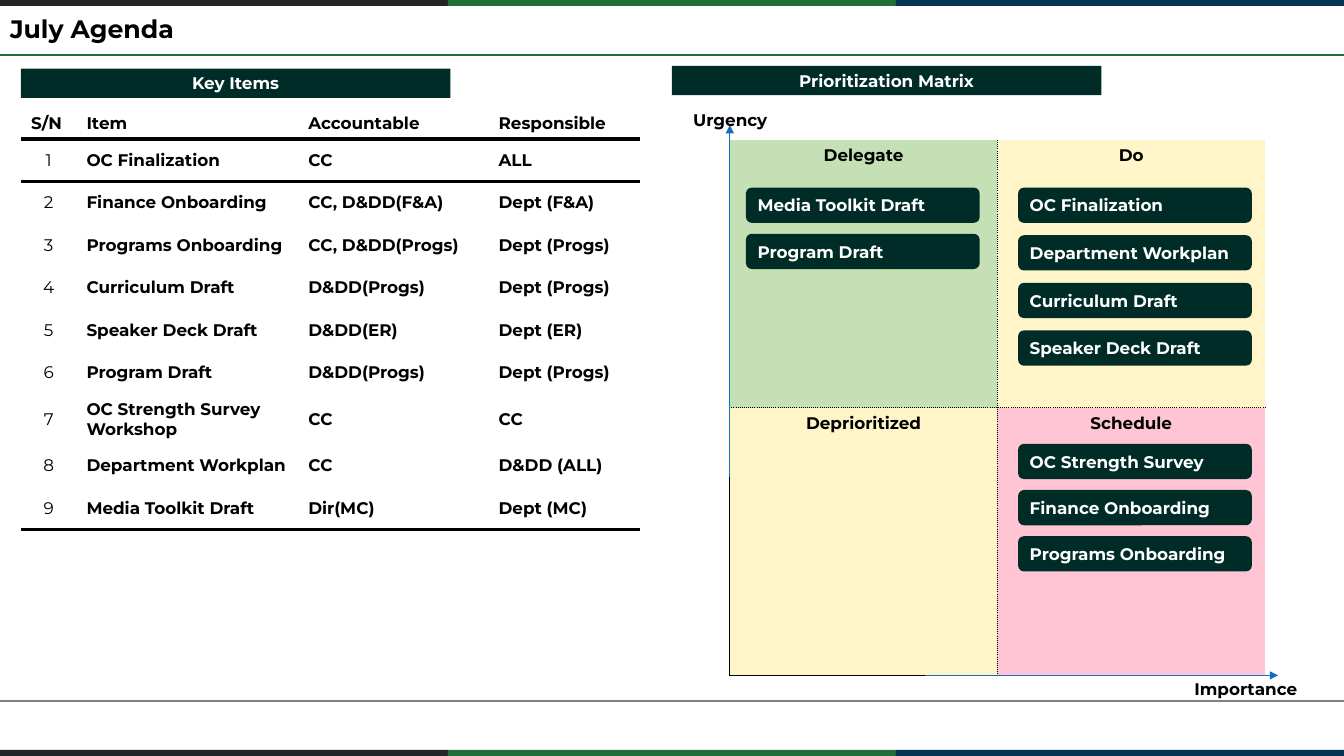
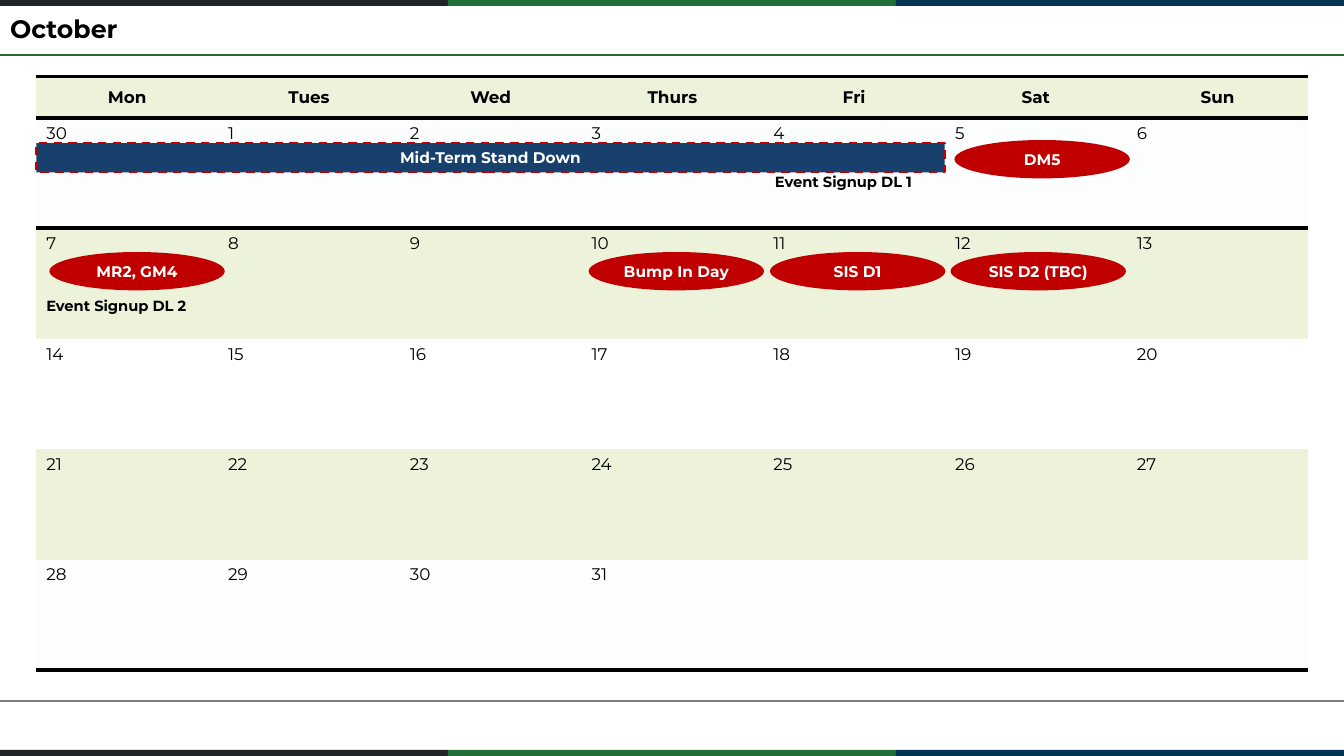
from dataclasses import dataclass

from lxml.etree import SubElement
from pptx import Presentation
from pptx.dml.color import RGBColor
from pptx.enum.dml import MSO_LINE
from pptx.enum.shapes import MSO_CONNECTOR, MSO_SHAPE
from pptx.enum.text import MSO_ANCHOR, PP_ALIGN
from pptx.oxml.ns import qn
from pptx.util import Pt


@dataclass(frozen=True)
class Theme:
    font: str = "Montserrat"
    black: str = "000000"
    white: str = "FFFFFF"
    bands: tuple = ("212528", "216E38", "033453")
    title_rule: str = "226D38"
    footer_rule: str = "7F7F7F"
    dark_green: str = "002C28"
    axis: str = "0F6FC6"
    delegate: str = "C5E0B4"
    cream: str = "FFF5C8"
    pink: str = "FFC5D5"
    pale_green: str = "EDF3DB"
    pale_blue: str = "FBFDFE"
    navy: str = "17406D"
    red: str = "C00000"
    title_size: float = 18
    body_size: float = 12
    event_size: float = 11
    note_size: float = 10.5


THEME = Theme()
WIDTH, HEIGHT = 960, 540
PLAIN_TABLE = "{2D5ABB26-0587-4C30-8999-92F81FD0307C}"
THICK = (3, "solid")
THIN = (1, "solid")
DOTTED = (0.5, "sysDot")

ITEMS = [
    ("S/N", "Item", "Accountable", "Responsible"),
    ("1", "OC Finalization", "CC", "ALL"),
    ("2", "Finance Onboarding", "CC, D&DD(F&A)", "Dept (F&A)"),
    ("3", "Programs Onboarding", "CC, D&DD(Progs)", "Dept (Progs)"),
    ("4", "Curriculum Draft", "D&DD(Progs)", "Dept (Progs)"),
    ("5", "Speaker Deck Draft", "D&DD(ER)", "Dept (ER)"),
    ("6", "Program Draft", "D&DD(Progs)", "Dept (Progs)"),
    ("7", "OC Strength Survey Workshop", "CC", "CC"),
    ("8", "Department Workplan", "CC", "D&DD (ALL)"),
    ("9", "Media Toolkit Draft", "Dir(MC)", "Dept (MC)"),
]
QUADRANTS = [
    [("Delegate", THEME.delegate), ("Do", THEME.cream)],
    [("Deprioritized", THEME.cream), ("Schedule", THEME.pink)],
]
TASKS = [
    (532.8, 134, 33, ["Media Toolkit Draft", "Program Draft"]),
    (727.2, 134, 34, ["OC Finalization", "Department Workplan",
                      "Curriculum Draft", "Speaker Deck Draft"]),
    (727.2, 317, 33, ["OC Strength Survey", "Finance Onboarding",
                      "Programs Onboarding"]),
]
DAYS = ["Mon", "Tues", "Wed", "Thurs", "Fri", "Sat", "Sun"]
EVENTS = [
    ("DM5", 681.8, 100),
    ("MR2, GM4", 35.3, 180),
    ("Bump In Day", 420.5, 180),
    ("SIS D1", 550, 180),
    ("SIS D2 (TBC)", 679, 180),
]
SIGNUPS = [("Event Signup DL 1", 546.5, 120.2), ("Event Signup DL 2", 26, 208.8)]


def rgb(color):
    return RGBColor.from_string(color)


def write(frame, text, size=THEME.body_size, color=THEME.black, bold=True,
          align=PP_ALIGN.LEFT):
    frame.text = text
    para = frame.paragraphs[0]
    para.alignment = align
    for span in para.runs:
        span.font.name = THEME.font
        span.font.size = Pt(size)
        span.font.bold = bold
        span.font.color.rgb = rgb(color)


def add_label(page, text, left, top, width, height, **style):
    box = page.shapes.add_textbox(Pt(left), Pt(top), Pt(width), Pt(height))
    box.text_frame.word_wrap = True
    write(box.text_frame, text, **style)
    return box


def add_block(page, kind, left, top, width, height, fill, text="", **style):
    block = page.shapes.add_shape(kind, Pt(left), Pt(top), Pt(width), Pt(height))
    block.shadow.inherit = False
    block.fill.solid()
    block.fill.fore_color.rgb = rgb(fill)
    block.line.fill.background()
    if text:
        block.text_frame.word_wrap = False
        block.text_frame.vertical_anchor = MSO_ANCHOR.MIDDLE
        write(block.text_frame, text, color=THEME.white, **style)
    return block


def add_line(page, start, end, color, weight, arrow=False):
    line = page.shapes.add_connector(
        MSO_CONNECTOR.STRAIGHT, *(Pt(value) for value in start + end))
    line.line.color.rgb = rgb(color)
    line.line.width = Pt(weight)
    if arrow:
        SubElement(line.line._get_or_add_ln(), qn("a:tailEnd"), type="triangle")
    SubElement(line._element.spPr, qn("a:effectLst"))


def add_grid(page, left, top, widths, heights):
    frame = page.shapes.add_table(
        len(heights), len(widths), Pt(left), Pt(top),
        Pt(sum(widths)), Pt(sum(heights)))
    table = frame.table
    table.first_row = table.horz_banding = False
    table._tbl.tblPr.find(qn("a:tableStyleId")).text = PLAIN_TABLE
    for column, width in zip(table.columns, widths):
        column.width = Pt(width)
    for row, height in zip(table.rows, heights):
        row.height = Pt(height)
    return table


def fill_cell(cell, text, fill=None, anchor=MSO_ANCHOR.MIDDLE, borders=None, **style):
    write(cell.text_frame, text, **style)
    cell.vertical_anchor = anchor
    if fill:
        cell.fill.solid()
        cell.fill.fore_color.rgb = rgb(fill)
    else:
        cell.fill.background()
    borders = borders or {}
    sides = [side for side in "LRTB" if side in borders]
    properties = cell._tc.get_or_add_tcPr()
    for index, side in enumerate(sides):
        weight, dash = borders[side]
        edge = SubElement(properties, qn(f"a:ln{side}"), w=str(Pt(weight)))
        paint = SubElement(edge, qn("a:solidFill"))
        SubElement(paint, qn("a:srgbClr"), val=THEME.black)
        SubElement(edge, qn("a:prstDash"), val=dash)
        properties.insert(index, edge)


def row_rules(row, last):
    rules = {}
    if row == 0 or row == last:
        rules["B"] = THICK
    if row == 1:
        rules["T"] = THICK
    return rules


def add_page(deck, title):
    page = deck.slides.add_slide(deck.slide_layouts[6])
    band_width, band_height = WIDTH / len(THEME.bands), 4.3
    for top in (0, HEIGHT - band_height):
        for index, color in enumerate(THEME.bands):
            add_block(page, MSO_SHAPE.RECTANGLE, index * band_width, top,
                      band_width, band_height, color)
    for y, color in ((39, THEME.title_rule), (501, THEME.footer_rule)):
        add_line(page, (0, y), (WIDTH, y), color, 1.5)
    box = add_label(page, title, 7.2, 9.4, 945, 24.5, size=THEME.title_size)
    box.text_frame.margin_left = 0
    box.text_frame.vertical_anchor = MSO_ANCHOR.MIDDLE
    box.text_frame.paragraphs[0].line_spacing = 0.9
    return page


def add_items(page):
    table = add_grid(page, 15, 77, [39.6, 158.4, 136, 108],
                     [22.2] + [30.4] * (len(ITEMS) - 1))
    for row, texts in enumerate(ITEMS):
        for column, text in enumerate(texts):
            number = row > 0 and column == 0
            fill_cell(table.cell(row, column), text, bold=not number,
                      align=PP_ALIGN.CENTER if number else PP_ALIGN.LEFT,
                      borders=row_rules(row, len(ITEMS) - 1))


def add_matrix(page):
    left, top, side = 521.3, 100, 191.2
    bottom = top + 2 * side
    table = add_grid(page, left, top, [side] * 2, [side] * 2)
    for row, quadrants in enumerate(QUADRANTS):
        for column, (name, fill) in enumerate(quadrants):
            borders = {"L": DOTTED if column else THIN, "B": THIN if row else DOTTED}
            if row:
                borders["T"] = DOTTED
            if not column:
                borders["R"] = DOTTED
            fill_cell(table.cell(row, column), name, fill, MSO_ANCHOR.TOP,
                      borders, align=PP_ALIGN.CENTER)
    add_line(page, (left, 340.6), (left, 89.3), THEME.axis, 1, arrow=True)
    add_line(page, (661, bottom), (913, bottom), THEME.axis, 1, arrow=True)
    add_label(page, "Urgency", 480.2, 74.9, 82.8, 21.6, align=PP_ALIGN.CENTER)
    add_label(page, "Importance", 835.2, 481, 109.4, 21.6, align=PP_ALIGN.CENTER)
    for pill_left, pill_top, pitch, names in TASKS:
        for index, name in enumerate(names):
            add_block(page, MSO_SHAPE.ROUNDED_RECTANGLE, pill_left,
                      pill_top + index * pitch, 167, 25.2, THEME.dark_green, name)


def add_calendar(page):
    weeks = 5
    table = add_grid(page, 26, 54.7, [129.8] * len(DAYS), [29.5] + [78.9] * weeks)
    fills = [THEME.pale_green, THEME.pale_blue, THEME.pale_green, None,
             THEME.pale_green, THEME.pale_blue]
    dates = [30, *range(1, 32)]
    for row, fill in enumerate(fills):
        for column, day in enumerate(DAYS):
            borders = row_rules(row, weeks)
            cell = table.cell(row, column)
            if row == 0:
                borders["T"] = THICK
                fill_cell(cell, day, fill, borders=borders, align=PP_ALIGN.CENTER)
            else:
                index = (row - 1) * len(DAYS) + column
                date = str(dates[index]) if index < len(dates) else ""
                fill_cell(cell, date, fill, MSO_ANCHOR.TOP, borders, bold=False)


def add_events(page):
    for name, left, top in EVENTS:
        add_block(page, MSO_SHAPE.OVAL, left, top, 125.3, 27.4, THEME.red, name,
                  size=THEME.event_size, align=PP_ALIGN.CENTER)
    for text, left, top in SIGNUPS:
        add_label(page, text, left, top, 128, 20, size=THEME.note_size)
    bar = add_block(page, MSO_SHAPE.RECTANGLE, 26, 102.2, 648.7, 20.9, THEME.navy,
                    "Mid-Term Stand Down", size=THEME.event_size,
                    align=PP_ALIGN.CENTER)
    bar.line.color.rgb = rgb(THEME.red)
    bar.line.width = Pt(1.5)
    bar.line.dash_style = MSO_LINE.DASH


def main():
    deck = Presentation()
    deck.slide_width, deck.slide_height = Pt(WIDTH), Pt(HEIGHT)

    agenda = add_page(deck, "July Agenda")
    for text, left, top in (("Key Items", 15, 49), ("Prioritization Matrix", 480, 47)):
        add_block(agenda, MSO_SHAPE.RECTANGLE, left, top, 306.7, 20.9,
                  THEME.dark_green, text, align=PP_ALIGN.CENTER)
    add_items(agenda)
    add_matrix(agenda)

    october = add_page(deck, "October")
    add_calendar(october)
    add_events(october)

    deck.save("out.pptx")


if __name__ == "__main__":
    main()
